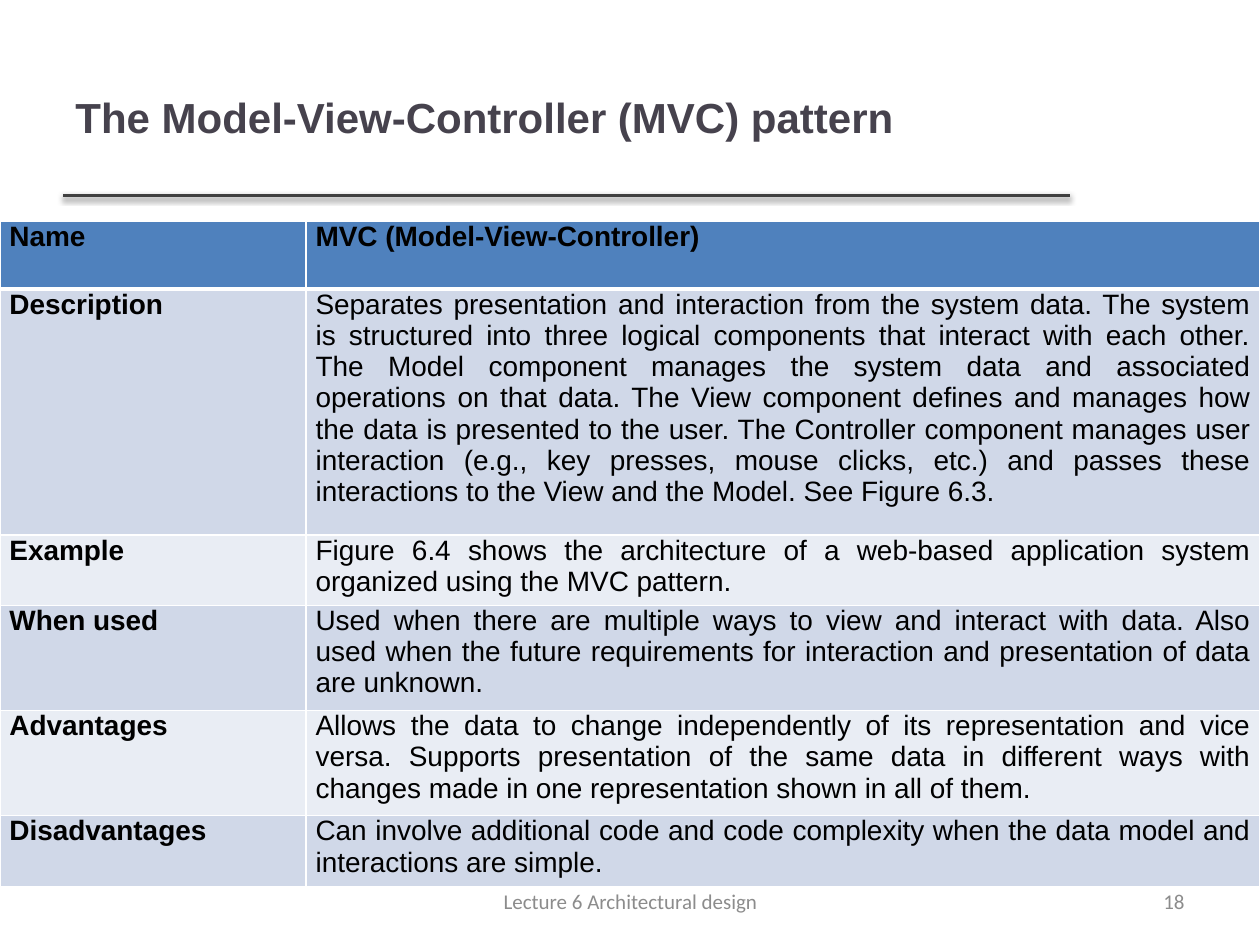
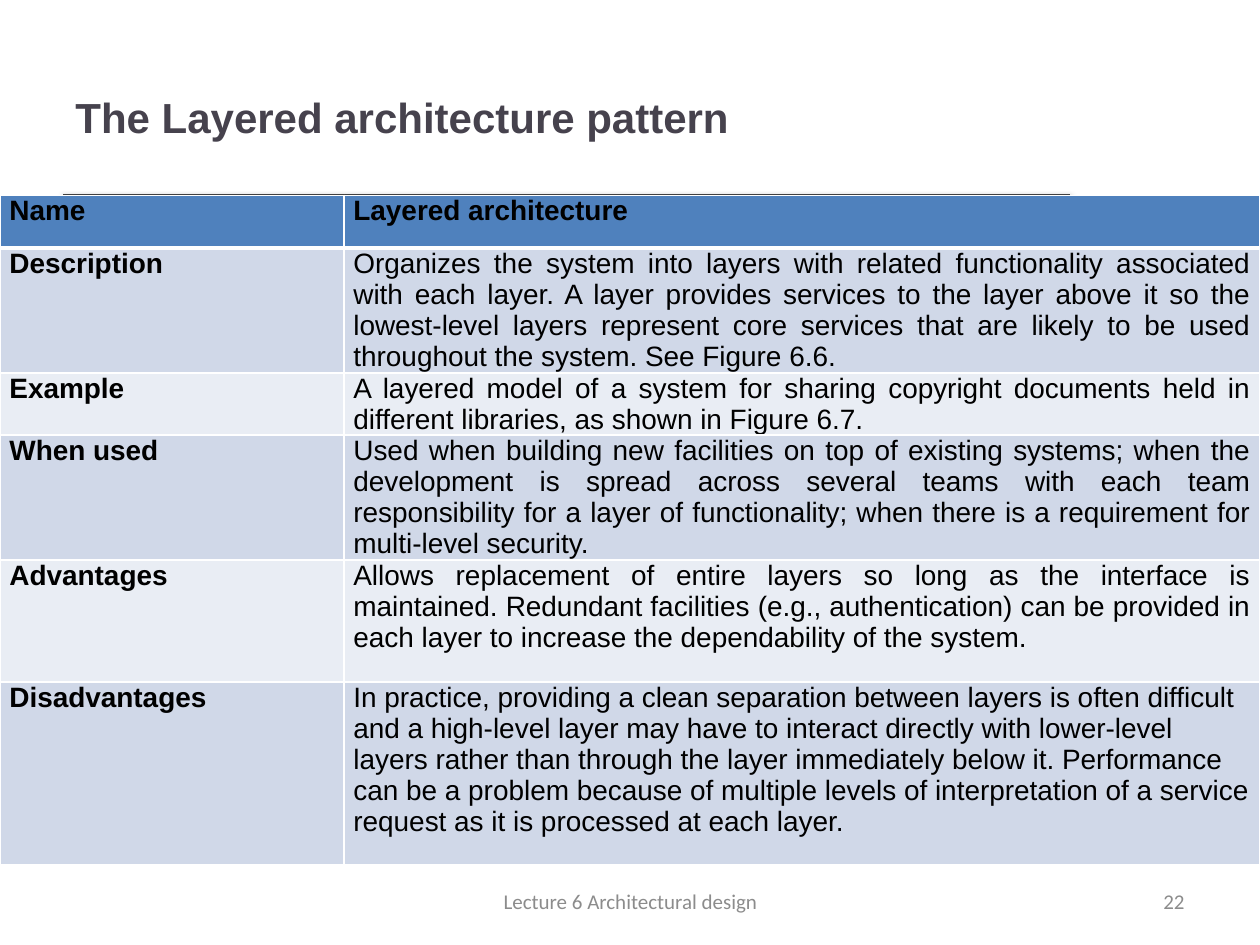
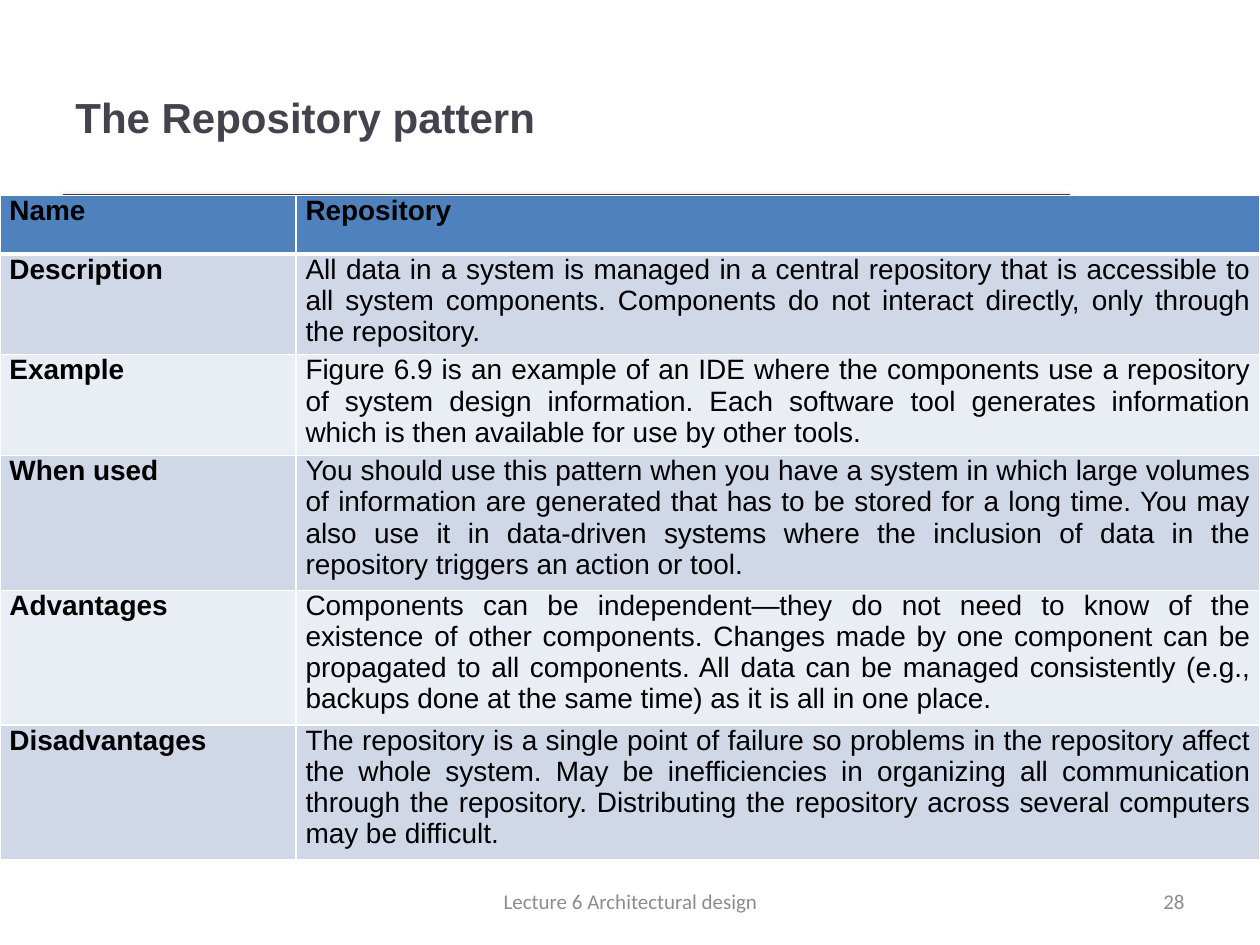
from dataclasses import dataclass
from typing import Any, NamedTuple

from pptx import Presentation
from pptx.dml.color import RGBColor
from pptx.enum.shapes import MSO_CONNECTOR
from pptx.enum.text import MSO_ANCHOR, PP_ALIGN
from pptx.oxml import parse_xml
from pptx.oxml.ns import nsdecls
from pptx.util import Inches, Pt

STRAIGHT = MSO_CONNECTOR.STRAIGHT
MIDDLE, TOP = MSO_ANCHOR.MIDDLE, MSO_ANCHOR.TOP
LEFT, RIGHT = PP_ALIGN.LEFT, PP_ALIGN.RIGHT
CENTER, JUSTIFY = PP_ALIGN.CENTER, PP_ALIGN.JUSTIFY
WIDE, HIGH = Inches(10), Inches(7.5)
COLS, ROWS = 200, 150
LABELS = ("Name", "Description", "Example", "When used", "Advantages", "Disadvantages")
FOOTER = "Lecture 6 Architectural design"


class Style(NamedTuple):
    font: str
    size: int
    color: str
    bold: bool = False
    pitch: float = 0


class Box(NamedTuple):
    col: float
    row: float
    wide: float
    high: float


@dataclass(frozen=True)
class Theme:
    title: Style = Style("Arial", 24, "46424D", True)
    label: Style = Style("Arial", 16, "000000", True, 17.8)
    body: Style = Style("Arial", 16, "000000", False, 17.8)
    foot: Style = Style("Calibri", 12, "8C8C8C")
    rule: str = "404040"
    head: str = "4F81BD"
    bands: tuple[str, str] = ("E9EDF4", "D0D8E8")
    edge: str = "FFFFFF"
    thin: int = 1
    thick: int = 3
    inset: float = 5.4


@dataclass(frozen=True)
class Pattern:
    title: str
    page: int
    top: float
    split: float
    rows: tuple[float, ...]
    texts: tuple[str, ...]
    last: Any = JUSTIFY


THEME = Theme()
TITLE = Box(10, 6, 159.6, 25)
PAGE = Box(143.4, 139, 46.6, 8)
FOOT = Box(68.4, 139, 63.4, 8)
RULE = Box(10, 31, 159.8, 0)

PATTERNS = (
    Pattern(
        "The Model-View-Controller (MVC) pattern", 18, 35.1, 48.6,
        (10.8, 39, 11.2, 16.7, 16.7, 11.2),
        (
            "MVC (Model-View-Controller)",
            "Separates presentation and interaction from the system data. The system is "
            "structured into three logical components that interact with each other. The "
            "Model component manages the system data and associated operations on that "
            "data. The View component defines and manages how the data is presented to the "
            "user. The Controller component manages user interaction (e.g., key presses, "
            "mouse clicks, etc.) and passes these interactions to the View and the Model. "
            "See Figure 6.3.",
            "Figure 6.4 shows the architecture of a web-based application system organized "
            "using the MVC pattern.",
            "Used when there are multiple ways to view and interact with data. Also used "
            "when the future requirements for interaction and presentation of data are "
            "unknown.",
            "Allows the data to change independently of its representation and vice versa. "
            "Supports presentation of the same data in different ways with changes made in "
            "one representation shown in all of them.",
            "Can involve additional code and code complexity when the data model and "
            "interactions are simple.",
        ),
    ),
    Pattern(
        "The Layered architecture pattern", 22, 31, 54.6,
        (8.4, 19.4, 9.6, 19.4, 19.4, 29),
        (
            "Layered architecture",
            "Organizes the system into layers with related functionality associated with "
            "each layer. A layer provides services to the layer above it so the "
            "lowest-level layers represent core services that are likely to be used "
            "throughout the system. See Figure 6.6.",
            "A layered model of a system for sharing copyright documents held in different "
            "libraries, as shown in Figure 6.7.",
            "Used when building new facilities on top of existing systems; when the "
            "development is spread across several teams with each team responsibility for "
            "a layer of functionality; when there is a requirement for multi-level "
            "security.",
            "Allows replacement of entire layers so long as the interface is maintained. "
            "Redundant facilities (e.g., authentication) can be provided in each layer to "
            "increase the dependability of the system.",
            "In practice, providing a clean separation between layers is often difficult "
            "and a high-level layer may have to interact directly with lower-level layers "
            "rather than through the layer immediately below it. Performance can be a "
            "problem because of multiple levels of interpretation of a service request as "
            "it is processed at each layer.",
        ),
        LEFT,
    ),
    Pattern(
        "The Repository pattern", 28, 31, 47,
        (9.3, 16, 16, 21.4, 21.4, 21.4),
        (
            "Repository",
            "All data in a system is managed in a central repository that is accessible to "
            "all system components. Components do not interact directly, only through the "
            "repository.",
            "Figure 6.9 is an example of an IDE where the components use a repository of "
            "system design information. Each software tool generates information which is "
            "then available for use by other tools.",
            "You should use this pattern when you have a system in which large volumes of "
            "information are generated that has to be stored for a long time. You may also "
            "use it in data-driven systems where the inclusion of data in the repository "
            "triggers an action or tool.",
            "Components can be independent—they do not need to know of the existence of "
            "other components. Changes made by one component can be propagated to all "
            "components. All data can be managed consistently (e.g., backups done at the "
            "same time) as it is all in one place.",
            "The repository is a single point of failure so problems in the repository "
            "affect the whole system. May be inefficiencies in organizing all "
            "communication through the repository. Distributing the repository across "
            "several computers may be difficult.",
        ),
    ),
)


def across(cols: float) -> int:
    return round(WIDE * cols / COLS)


def down(rows: float) -> int:
    return round(HIGH * rows / ROWS)


def place(box: Box) -> tuple[int, int, int, int]:
    return across(box.col), down(box.row), across(box.wide), down(box.high)


def apply(target: Any, values: dict[str, Any]) -> None:
    for name, value in values.items():
        setattr(target, name, value)


def write(frame: Any, text: str, style: Style, align: Any) -> None:
    para = frame.paragraphs[0]
    pitch = Pt(style.pitch) if style.pitch else None
    apply(para, {"alignment": align, "line_spacing": pitch})
    run = para.add_run()
    run.text = text
    apply(run.font, {"name": style.font, "size": Pt(style.size), "bold": style.bold})
    run.font.color.rgb = RGBColor.from_string(style.color)
    para._p.append(parse_xml(
        f'<a:endParaRPr {nsdecls("a")} sz="{style.size * 100}">'
        f'<a:latin typeface="{style.font}"/></a:endParaRPr>'))


def add_text(slide: Any, box: Box, text: str, style: Style, align: Any) -> None:
    frame = slide.shapes.add_textbox(*place(box)).text_frame
    apply(frame, {"word_wrap": True, "vertical_anchor": MIDDLE})
    write(frame, text, style, align)


def add_rule(slide: Any) -> None:
    left, top, wide, _ = place(RULE)
    rule = slide.shapes.add_connector(STRAIGHT, left, top, left + wide, top)
    rule.line.width = Pt(2)
    rule.line.color.rgb = RGBColor.from_string(THEME.rule)
    rule._element.spPr.append(parse_xml(
        f'<a:effectLst {nsdecls("a")}><a:outerShdw blurRad="{Pt(3.1)}" dist="{Pt(1.6)}" '
        'dir="5400000" rotWithShape="0"><a:srgbClr val="000000"><a:alpha val="38000"/>'
        '</a:srgbClr></a:outerShdw></a:effectLst>'))


def add_edges(cell: Any, row: int) -> None:
    props = cell._tc.get_or_add_tcPr()
    for side in "LRTB":
        heavy = (row, side) in ((0, "B"), (1, "T"))
        width = Pt(THEME.thick if heavy else THEME.thin)
        props.append(parse_xml(
            f'<a:ln{side} {nsdecls("a")} w="{width}"><a:solidFill>'
            f'<a:srgbClr val="{THEME.edge}"/></a:solidFill></a:ln{side}>'))


def fill_cell(cell: Any, row: int, text: str, style: Style, align: Any) -> None:
    pad = Pt(THEME.inset)
    apply(cell, {"margin_left": pad, "margin_right": pad, "margin_top": 0,
                 "margin_bottom": 0, "vertical_anchor": TOP})
    add_edges(cell, row)
    cell.fill.solid()
    shade = THEME.bands[row % 2] if row else THEME.head
    cell.fill.fore_color.rgb = RGBColor.from_string(shade)
    write(cell.text_frame, text, style, align)


def add_grid(slide: Any, item: Pattern) -> None:
    box = Box(0, item.top, COLS, sum(item.rows))
    grid = slide.shapes.add_table(len(LABELS), 2, *place(box)).table
    for col, wide in zip(grid.columns, (item.split, COLS - item.split)):
        col.width = across(wide)
    for row, (label, text) in enumerate(zip(LABELS, item.texts)):
        grid.rows[row].height = down(item.rows[row])
        style = THEME.body if row else THEME.label
        align = item.last if row == len(LABELS) - 1 else JUSTIFY
        fill_cell(grid.cell(row, 0), row, label, THEME.label, JUSTIFY)
        fill_cell(grid.cell(row, 1), row, text, style, align)


def add_slide(deck: Any, item: Pattern) -> None:
    slide = deck.slides.add_slide(deck.slide_layouts[6])
    add_rule(slide)
    add_text(slide, TITLE, item.title, THEME.title, LEFT)
    add_grid(slide, item)
    add_text(slide, PAGE, str(item.page), THEME.foot, RIGHT)
    add_text(slide, FOOT, FOOTER, THEME.foot, CENTER)


def main() -> None:
    deck = Presentation()
    apply(deck, {"slide_width": WIDE, "slide_height": HIGH})
    for item in PATTERNS:
        add_slide(deck, item)
    deck.save("out.pptx")


if __name__ == "__main__":
    main()
